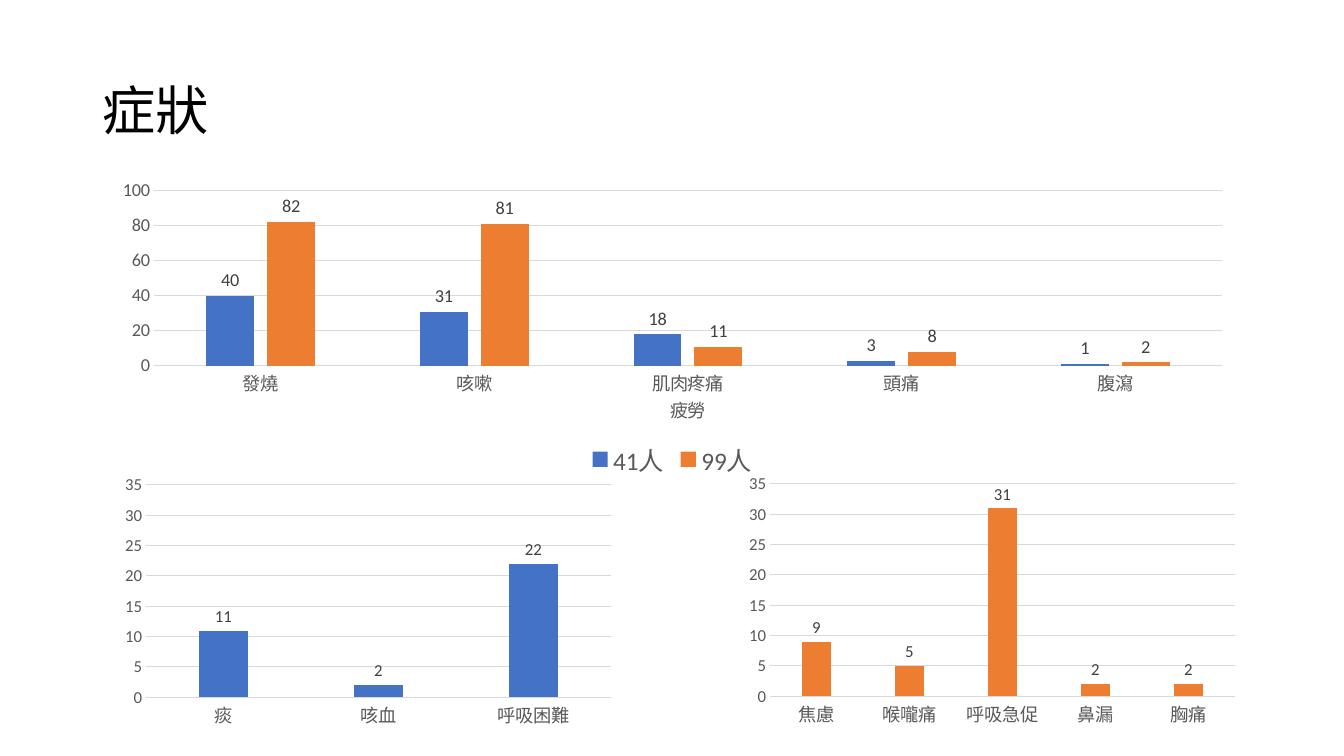
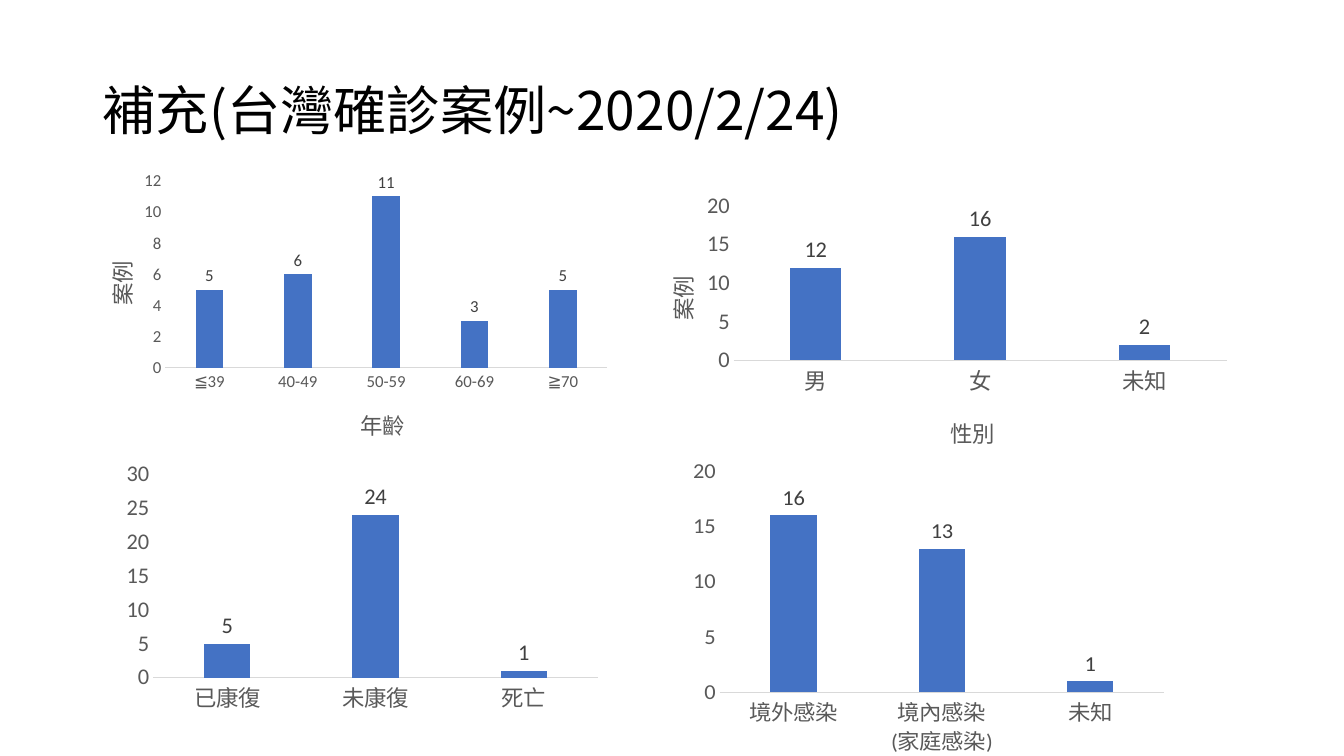
"""Build two slides of column charts on symptoms and confirmed cases."""
from lxml.etree import SubElement
from pptx import Presentation
from pptx.chart.data import CategoryChartData
from pptx.dml.color import RGBColor
from pptx.enum.chart import XL_CHART_TYPE, XL_LABEL_POSITION, XL_LEGEND_POSITION, XL_TICK_MARK
from pptx.enum.text import MSO_ANCHOR
from pptx.oxml import parse_xml
from pptx.oxml.ns import nsdecls, qn
from pptx.util import Inches, Pt

BLUE = RGBColor(0x44, 0x72, 0xC4)
ORANGE = RGBColor(0xED, 0x7D, 0x31)
BLACK = RGBColor(0x00, 0x00, 0x00)
LABEL_GRAY = RGBColor(0x40, 0x40, 0x40)
AXIS_GRAY = RGBColor(0x59, 0x59, 0x59)
LINE_GRAY = RGBColor(0xD9, 0xD9, 0xD9)
CHART_FONT = "Calibri"
TITLE_FONT = "Noto Sans CJK SC"
TITLE_BOX = (6.9, 5.33, 86.27, 19.33)
CATEGORY_TITLE_AT = {"x": 0.52, "y": 0.81}
VALUE_TITLE_AT = {"x": 0.05, "y": 0.31}
OUTCOME_PLOT = {"x": 0.07, "y": 0.1, "w": 0.89, "h": 0.74}

SLIDES = [
    ("症狀", [
        {"box": (7.43, 22.93, 85.2, 40.93), "sizes": (13, 13), "grid": True, "legend": True,
         "categories": ["發燒", "咳嗽", "肌肉疼痛\n疲勞", "頭痛", "腹瀉"],
         "series": [("41人", [40, 31, 18, 3, 1], BLUE), ("99人", [82, 81, 11, 8, 2], ORANGE)]},
        {"box": (8.55, 62.13, 37.65, 34.8), "sizes": (13, 12), "grid": True, "maximum": 35,
         "categories": ["痰", "咳血", "呼吸困難"],
         "series": [("41人", [11, 2, 22], BLUE)]},
        {"box": (54.98, 62, 37.65, 34.8), "sizes": (13, 12), "grid": True, "maximum": 35,
         "categories": ["焦慮", "喉嚨痛", "呼吸急促", "鼻漏", "胸痛"],
         "series": [("99人", [9, 5, 31, 2, 2], ORANGE)]},
    ]),
    ("補充(台灣確診案例~2020/2/24)", [
        {"box": (5.4, 22, 40.58, 38.67), "sizes": (12, 12), "titles": ("年齡", "案例"),
         "plot": {"x": 0.17, "y": 0.05, "w": 0.81, "h": 0.64},
         "categories": ["≦39", "40-49", "50-59", "60-69", "≧70"],
         "series": [("案例", [5, 6, 11, 3, 5], BLUE)]},
        {"box": (46.88, 24.67, 45.3, 36.53), "sizes": (16, 16), "titles": ("性別", "案例"),
         "plot": {"x": 0.17, "y": 0.07, "w": 0.81, "h": 0.56},
         "categories": ["男", "女", "未知"],
         "series": [("案例", [12, 16, 2], BLUE)]},
        {"box": (8.78, 59.07, 37.2, 36.4), "sizes": (16, 16), "plot": OUTCOME_PLOT,
         "categories": ["已康復", "未康復", "死亡"],
         "series": [("案例", [5, 24, 1], BLUE)]},
        {"box": (50.93, 58.4, 37.2, 41.6), "sizes": (16, 16), "plot": OUTCOME_PLOT,
         "categories": ["境外感染", "境內感染\n(家庭感染)", "未知"],
         "series": [("案例", [16, 13, 1], BLUE)]},
    ]),
]

presentation = Presentation()
presentation.slide_width = Inches(13.33)
presentation.slide_height = Inches(7.5)


def percent_box(box):
    sides = (presentation.slide_width, presentation.slide_height) * 2
    return [int(side * share / 100) for side, share in zip(sides, box)]


def set_layout(element, position, shares):
    for old_layout in element.findall(qn("c:layout")):
        element.remove(old_layout)
    layout = parse_xml(f"<c:layout {nsdecls('c')}><c:manualLayout/></c:layout>")
    settings = [(f"{key}Mode", "edge") for key in ("x", "y")] + list(shares.items())
    if "w" in shares:
        settings.insert(0, ("layoutTarget", "inner"))
    for tag, value in settings:
        SubElement(layout[0], qn(f"c:{tag}")).set("val", str(value))
    element.insert(position, layout)


for title, charts in SLIDES:
    slide = presentation.slides.add_slide(presentation.slide_layouts[6])
    text_frame = slide.shapes.add_textbox(*percent_box(TITLE_BOX)).text_frame
    text_frame.word_wrap = True
    text_frame.vertical_anchor = MSO_ANCHOR.MIDDLE
    paragraph = text_frame.paragraphs[0]
    paragraph.line_spacing = 0.9
    run = paragraph.add_run()
    run.text = title
    run.font.name = TITLE_FONT
    run.font.size = Pt(38)
    run.font.color.rgb = BLACK
    SubElement(run.font._element, qn("a:ea")).set("typeface", TITLE_FONT)

    for details in charts:
        data = CategoryChartData()
        data.categories = details["categories"]
        for name, values, color in details["series"]:
            data.add_series(name, values)
        chart = slide.shapes.add_chart(
            XL_CHART_TYPE.COLUMN_CLUSTERED, *percent_box(details["box"]), data).chart
        category_size, value_size = details["sizes"]
        chart.has_title = False
        chart.font.name = CHART_FONT
        chart.font.size = Pt(value_size)
        chart.font.color.rgb = AXIS_GRAY
        chart.has_legend = details.get("legend", False)
        if chart.has_legend:
            chart.legend.position = XL_LEGEND_POSITION.BOTTOM
            chart.legend.include_in_layout = False
            chart.legend.font.size = Pt(18)
            chart.legend.font.name = CHART_FONT
            chart.legend.font.color.rgb = AXIS_GRAY

        plot = chart.plots[0]
        plot.gap_width = 219
        plot.overlap = -27
        plot.vary_by_categories = False
        plot.has_data_labels = True
        labels = plot.data_labels
        labels.show_value = True
        labels.position = XL_LABEL_POSITION.OUTSIDE_END
        labels.font.name = CHART_FONT
        labels.font.size = Pt(value_size)
        labels.font.color.rgb = LABEL_GRAY
        for series, (name, values, color) in zip(plot.series, details["series"]):
            series.format.fill.solid()
            series.format.fill.fore_color.rgb = color
        if "plot" in details:
            set_layout(plot._element.getparent(), 0, details["plot"])

        axes = (chart.category_axis, chart.value_axis)
        for axis, size in zip(axes, details["sizes"]):
            axis.major_tick_mark = XL_TICK_MARK.NONE
            axis.minor_tick_mark = XL_TICK_MARK.NONE
            axis.tick_labels.font.name = CHART_FONT
            axis.tick_labels.font.size = Pt(size)
            axis.tick_labels.font.color.rgb = AXIS_GRAY
        chart.category_axis.format.line.color.rgb = LINE_GRAY
        chart.category_axis.format.line.width = Pt(0.75)
        value_axis = chart.value_axis
        value_axis.format.line.fill.background()
        value_axis.has_major_gridlines = details.get("grid", False)
        if value_axis.has_major_gridlines:
            value_axis.major_gridlines.format.line.color.rgb = LINE_GRAY
            value_axis.major_gridlines.format.line.width = Pt(0.75)
        if "maximum" in details:
            value_axis.maximum_scale = details["maximum"]

        places = (CATEGORY_TITLE_AT, VALUE_TITLE_AT)
        for axis, text, place, turn in zip(axes, details.get("titles", ()), places, (0, -5400000)):
            text_frame = axis.axis_title.text_frame
            text_frame.text = text
            text_frame._element.bodyPr.set("rot", str(turn))
            font = text_frame.paragraphs[0].font
            font.name = TITLE_FONT
            font.size = Pt(16)
            font.bold = False
            font.color.rgb = AXIS_GRAY
            set_layout(axis.axis_title._element, 1, place)

presentation.save("out.pptx")
